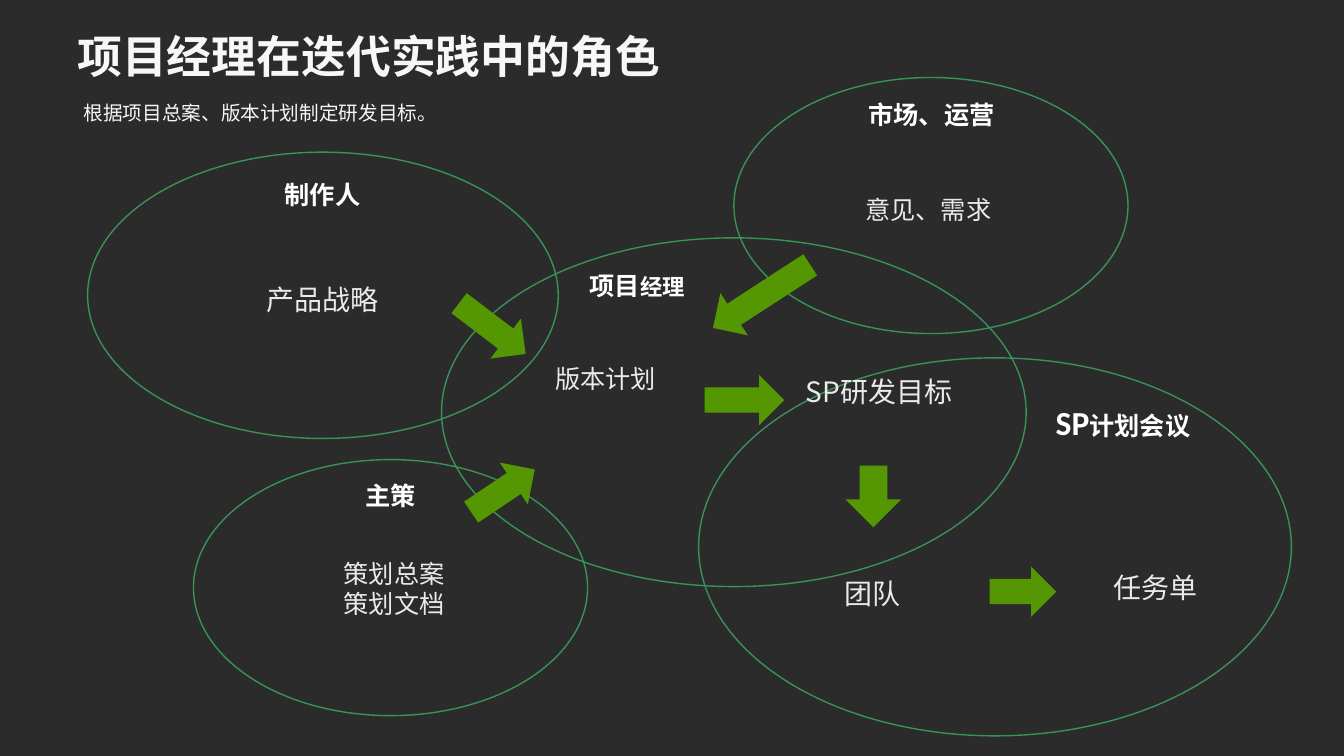
from dataclasses import dataclass

from pptx import Presentation
from pptx.dml.color import RGBColor
from pptx.enum.shapes import MSO_SHAPE
from pptx.enum.text import MSO_ANCHOR, PP_ALIGN
from pptx.util import Pt

ELLIPSE = MSO_SHAPE.OVAL
RIGHT_ARROW = MSO_SHAPE.RIGHT_ARROW
TOP, MIDDLE = MSO_ANCHOR.TOP, MSO_ANCHOR.MIDDLE
LEFT, CENTER = PP_ALIGN.LEFT, PP_ALIGN.CENTER


@dataclass(frozen=True)
class Theme:
    background: RGBColor = RGBColor(0x2B, 0x2B, 0x2B)
    outline: RGBColor = RGBColor(0x38, 0x93, 0x57)
    arrow: RGBColor = RGBColor(0x54, 0x97, 0x03)
    title: RGBColor = RGBColor(0xF6, 0xF8, 0xF8)
    role: RGBColor = RGBColor(0xFF, 0xFF, 0xFF)
    item: RGBColor = RGBColor(0xEA, 0xEA, 0xEA)
    title_font: str = "Arial"
    role_font: str = "Calibri"
    item_font: str = "Noto Sans CJK SC"
    title_size: float = 32
    latin_size: float = 24
    large_size: float = 20
    text_size: float = 18
    small_size: float = 16
    subtitle_size: float = 14


THEME = Theme()


@dataclass(frozen=True)
class Box:
    left: float
    top: float
    width: float
    height: float


@dataclass(frozen=True)
class Arrow:
    box: Box
    rotation: float = 0


@dataclass(frozen=True)
class Style:
    font: str
    color: RGBColor
    bold: bool = False
    align: PP_ALIGN = CENTER
    anchor: MSO_ANCHOR = TOP
    line_spacing: float = 1.0


@dataclass(frozen=True)
class Run:
    text: str
    size: float = THEME.text_size


@dataclass(frozen=True)
class Label:
    box: Box
    style: Style
    paragraphs: list[list[Run]]


TITLE = Style(THEME.title_font, THEME.title, bold=True, align=LEFT, line_spacing=0.9)
SUBTITLE = Style(THEME.role_font, THEME.title, align=LEFT)
ROLE = Style(THEME.role_font, THEME.role, bold=True, anchor=MIDDLE)
ITEM = Style(THEME.item_font, THEME.item)


def role(left: float, top: float, *runs: Run) -> Label:
    """Bold name of a circle."""
    return Label(Box(left, top, 193, 45.4), ROLE, [list(runs)])


def item(left: float, top: float, size: float, *lines: str) -> Label:
    """Work product inside a circle, one paragraph per line."""
    return Label(Box(left, top, 154, 81.4), ITEM, [[Run(line, size)] for line in lines])


# Circles of responsibility
CIRCLES = [
    Box(315.4, 169.9, 417.6, 249.1),  # project manager
    Box(499, 255.6, 423.4, 270),  # planning meeting
    Box(138.2, 328.3, 281.5, 182.9),  # lead designer
    Box(524.2, 55.4, 281.5, 182.9),  # marketing
    Box(62.6, 108.7, 336.2, 204.5),  # producer
]

# Flow between the circles
ARROWS = [
    Arrow(Box(503.3, 267.8, 56.9, 36)),
    Arrow(Box(707, 404.6, 47.5, 36)),
    Arrow(Box(601.9, 334.8, 43.9, 39.6), 90),
    Arrow(Box(331.9, 332.6, 54.7, 36), 326.1),
    Arrow(Box(502.6, 193.7, 82.8, 36), 147),
    Arrow(Box(321.8, 216.7, 59.8, 36), 37.3),
]

LABELS = [
    # Heading
    Label(Box(48.2, 21.6, 864, 90), TITLE,
          [[Run("项目经理在迭代实践中的角色", THEME.title_size)]]),
    Label(Box(52.6, 68.4, 541.4, 24.5), SUBTITLE,
          [[Run("根据项目总案、版本计划制定研发目标。", THEME.subtitle_size)]]),
    # Roles
    role(133.9, 115.9, Run("制作人")),
    role(568.8, 59, Run("市场、运营")),
    role(358.6, 181.4, Run("项目"), Run("经理", THEME.small_size)),
    role(182.2, 331.2, Run("主策")),
    role(705.6, 278.6, Run("SP", THEME.latin_size), Run("计划会议")),
    # Work products
    item(153.4, 198, THEME.large_size, "产品战略"),
    item(586.1, 135.4, THEME.text_size, "意见、需求"),
    item(355.7, 256.3, THEME.text_size, "版本计划"),
    item(550.8, 264.2, THEME.large_size, "SP研发目标"),
    item(204.5, 395.3, THEME.text_size, "策划总案", "策划文档"),
    item(546.5, 408.2, THEME.large_size, "团队"),
    item(748.1, 403.9, THEME.large_size, "任务单"),
]


def place(box: Box) -> tuple[Pt, Pt, Pt, Pt]:
    return Pt(box.left), Pt(box.top), Pt(box.width), Pt(box.height)


def draw_circle(slide, box: Box) -> None:
    shape = slide.shapes.add_shape(ELLIPSE, *place(box))
    shape.shadow.inherit = False
    shape.fill.background()
    shape.line.color.rgb = THEME.outline
    shape.line.width = Pt(1)


def draw_arrow(slide, arrow: Arrow) -> None:
    shape = slide.shapes.add_shape(RIGHT_ARROW, *place(arrow.box))
    shape.rotation = arrow.rotation
    shape.shadow.inherit = False
    shape.fill.solid()
    shape.fill.fore_color.rgb = THEME.arrow
    shape.line.fill.background()


def draw_label(slide, label: Label) -> None:
    style = label.style
    frame = slide.shapes.add_textbox(*place(label.box)).text_frame
    frame.word_wrap = True
    frame.vertical_anchor = style.anchor
    for index, runs in enumerate(label.paragraphs):
        paragraph = frame.add_paragraph() if index else frame.paragraphs[0]
        paragraph.alignment = style.align
        paragraph.line_spacing = style.line_spacing
        for part in runs:
            run = paragraph.add_run()
            run.text = part.text
            run.font.name = style.font
            run.font.size = Pt(part.size)
            run.font.bold = style.bold
            run.font.color.rgb = style.color


def main() -> None:
    presentation = Presentation()
    presentation.slide_width, presentation.slide_height = Pt(960), Pt(540)
    slide = presentation.slides.add_slide(presentation.slide_layouts[6])
    slide.background.fill.solid()
    slide.background.fill.fore_color.rgb = THEME.background

    for circle in CIRCLES:
        draw_circle(slide, circle)
    for arrow in ARROWS:
        draw_arrow(slide, arrow)
    for label in LABELS:
        draw_label(slide, label)

    presentation.save("out.pptx")


if __name__ == "__main__":
    main()
